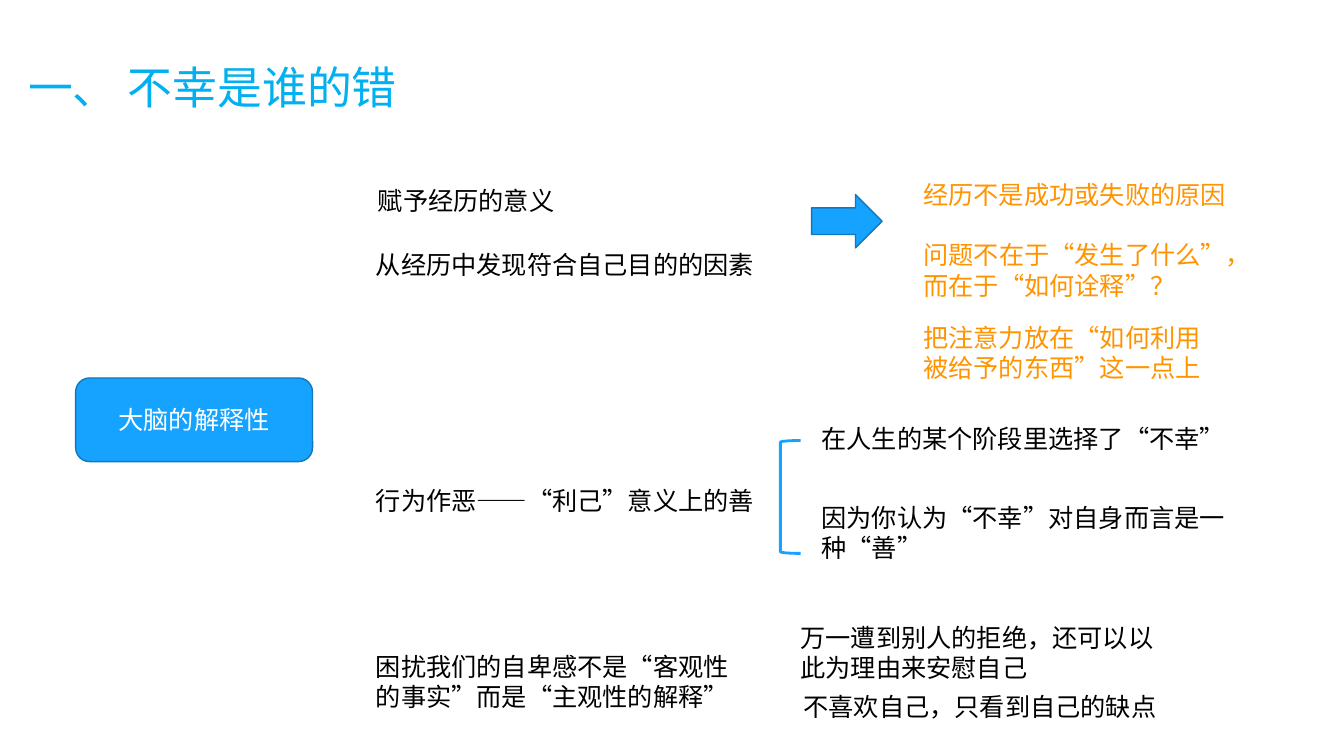
from pptx import Presentation
from pptx.dml.color import RGBColor
from pptx.enum.shapes import MSO_SHAPE
from pptx.enum.text import MSO_ANCHOR, MSO_AUTO_SIZE, PP_ALIGN
from pptx.util import Inches, Pt

BLACK = RGBColor(0x00, 0x00, 0x00)
WHITE = RGBColor(0xFF, 0xFF, 0xFF)
SKY = RGBColor(0x00, 0xB0, 0xF0)
BLUE = RGBColor(0x16, 0xA2, 0xFF)
DARK_BLUE = RGBColor(0x10, 0x78, 0xBD)
ORANGE = RGBColor(0xFF, 0x94, 0x00)

FONT = "Arial"
TITLE_SIZE, BODY_SIZE = 32, 18
LINE_HEIGHT, PADDING = 0.3, 0.1

TITLE = ("一、 不幸是谁的错", 0.18, 0.54, 10.28, 0.64)
TOPIC = ("大脑的解释性", 0.75, 3.75, 2.35, 0.83)
ARROW = (8.05, 1.93, 0.7, 0.53)
BRACKET = (7.74, 4.37, 0.2, 1.12)

# (text, left, top, width, lines)
BRANCHES = [
    ("赋予经历的意义", 3.65, 1.79, 1.97, 1),
    ("从经历中发现符合自己目的的因素", 3.63, 2.42, 3.99, 1),
    ("行为作恶——“利己”意义上的善", 3.63, 4.77, 3.99, 1),
    ("困扰我们的自卑感不是“客观性的事实”而是“主观性的解释”", 3.63, 6.41, 3.87, 2),
]
CONCLUSIONS = [
    ("经历不是成功或失败的原因", 9.06, 1.73, 3.23, 1),
    ("问题不在于“发生了什么”，而在于“如何诠释”？", 9.06, 2.33, 3.42, 2),
    ("把注意力放在“如何利用被给予的东西”这一点上", 9.06, 3.15, 3.04, 2),
]
REASONS = [
    ("在人生的某个阶段里选择了“不幸”", 8.05, 4.15, 4.24, 1),
    ("因为你认为“不幸”对自身而言是一种“善”", 8.05, 4.93, 4.24, 2),
    ("万一遭到别人的拒绝，还可以以此为理由来安慰自己", 7.84, 6.12, 3.82, 2),
    ("不喜欢自己，只看到自己的缺点", 7.87, 6.81, 3.74, 1),
]


def write(frame, text, size, color):
    paragraph = frame.paragraphs[0]
    paragraph.text = text
    paragraph.font.name = FONT
    paragraph.font.size = Pt(size)
    paragraph.font.color.rgb = color
    return paragraph


def add_text(slide, text, box, size, color, wrap):
    frame = slide.shapes.add_textbox(*map(Inches, box)).text_frame
    frame.word_wrap = wrap
    frame.auto_size = MSO_AUTO_SIZE.SHAPE_TO_FIT_TEXT
    write(frame, text, size, color)


def add_outlined(slide, preset, box, line_color, line_width, fill=None):
    shape = slide.shapes.add_shape(preset, *map(Inches, box))
    shape.shadow.inherit = False
    if fill is None:
        shape.fill.background()
    else:
        shape.fill.solid()
        shape.fill.fore_color.rgb = fill
    shape.line.color.rgb = line_color
    shape.line.width = Pt(line_width)
    return shape


def main():
    deck = Presentation()
    deck.slide_width, deck.slide_height = Inches(13.33), Inches(7.5)
    slide = deck.slides.add_slide(deck.slide_layouts[6])

    title, *title_box = TITLE
    add_text(slide, title, title_box, TITLE_SIZE, SKY, True)

    topic, *topic_box = TOPIC
    topic_shape = add_outlined(slide, MSO_SHAPE.ROUNDED_RECTANGLE, topic_box, DARK_BLUE, 1, BLUE)
    topic_shape.text_frame.vertical_anchor = MSO_ANCHOR.MIDDLE
    write(topic_shape.text_frame, topic, BODY_SIZE, WHITE).alignment = PP_ALIGN.CENTER

    add_outlined(slide, MSO_SHAPE.RIGHT_ARROW, ARROW, DARK_BLUE, 1, BLUE)
    add_outlined(slide, MSO_SHAPE.LEFT_BRACKET, BRACKET, BLUE, 2)

    for notes, color in ((BRANCHES, BLACK), (CONCLUSIONS, ORANGE), (REASONS, BLACK)):
        for text, left, top, width, lines in notes:
            box = (left, top, width, PADDING + lines * LINE_HEIGHT)
            add_text(slide, text, box, BODY_SIZE, color, lines > 1)

    deck.save("out.pptx")


if __name__ == "__main__":
    main()
